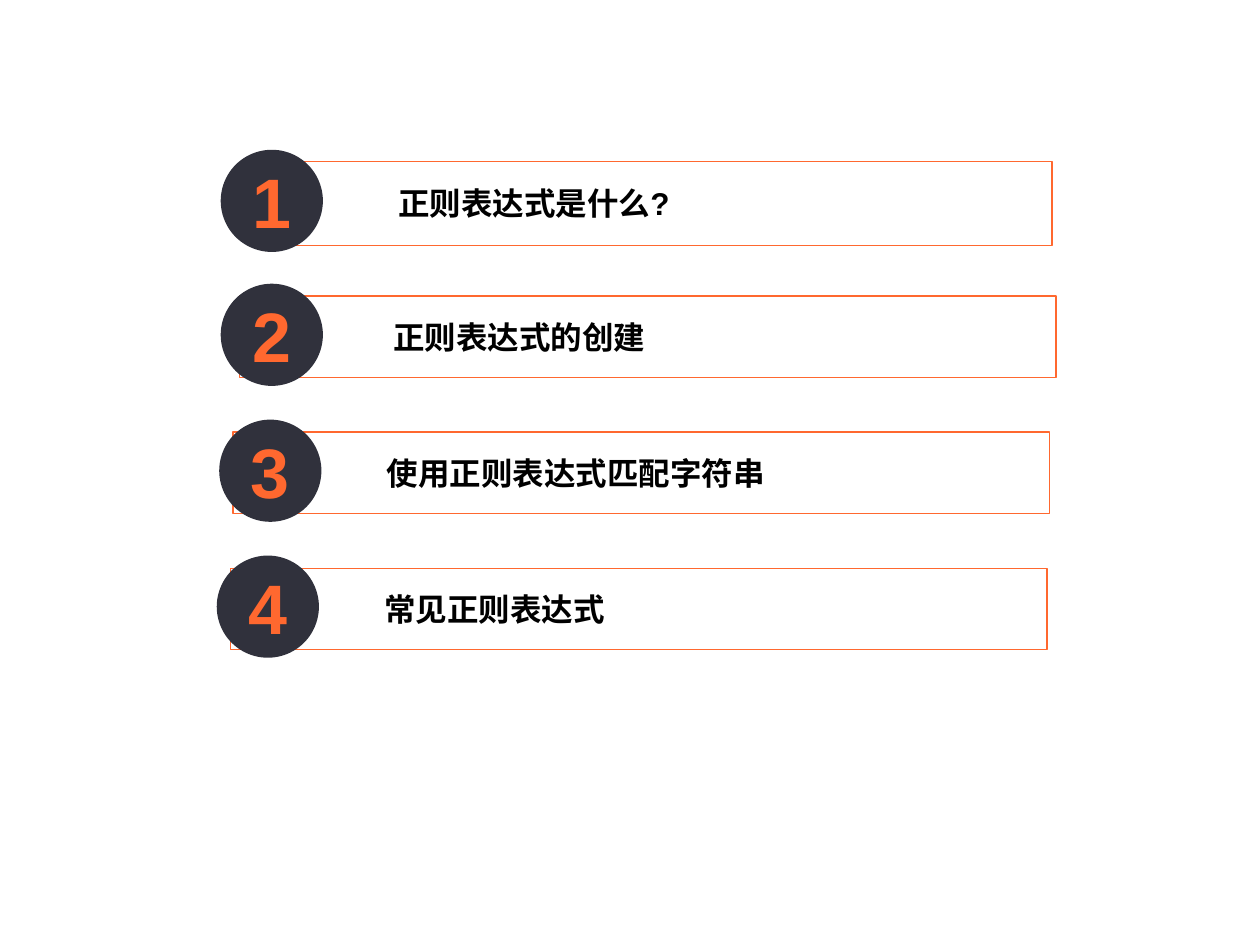
from dataclasses import dataclass

from lxml import etree
from pptx import Presentation
from pptx import util as u
from pptx.dml.color import RGBColor
from pptx.enum import shapes, text
from pptx.oxml import ns

ORANGE, DARK, WHITE, BLACK = "FF682F", "30313C", "FFFFFF", "000000"
BADGE_SIZE = 2.06


@dataclass
class AgendaItem:
    """One agenda row; lengths in centimetres."""
    title: str
    bar_left: float
    bar_top: float
    badge_left: float
    badge_top: float
    bar_width: float = 16.46
    bar_height: float = 1.64
    indent: float = 1.45


ITEMS = [
    AgendaItem("正则表达式是什么?", 5.11, 3.25, 4.45, 3.02, 16.1, 1.7, 1.27),
    AgendaItem("正则表达式的创建", 4.83, 5.97, 4.45, 5.72),
    AgendaItem("使用正则表达式匹配字符串", 4.7, 8.71, 4.42, 8.46),
    AgendaItem("常见正则表达式", 4.65, 11.46, 4.37, 11.2),
]


def color(value: str) -> RGBColor:
    return RGBColor.from_string(value)


def add_filled_shape(slide, kind, left: float, top: float, width: float,
                     height: float, fill: str):
    shape = slide.shapes.add_shape(
        kind, u.Cm(left), u.Cm(top), u.Cm(width), u.Cm(height))
    shape.shadow.inherit = False
    shape.fill.solid()
    shape.fill.fore_color.rgb = color(fill)
    shape.line.fill.background()
    return shape


def write_text(shape, content: str, *, size: int, font_color: str,
               align, margins: tuple, level: int = 0):
    frame = shape.text_frame
    frame.word_wrap = True
    frame.vertical_anchor = text.MSO_ANCHOR.MIDDLE
    (frame.margin_left, frame.margin_top,
     frame.margin_right, frame.margin_bottom) = map(u.Cm, margins)
    paragraph = frame.paragraphs[0]
    paragraph.alignment = align
    paragraph.level = level
    run = paragraph.add_run()
    run.text = content
    run.font.name = "Arial"
    run.font.size = u.Pt(size)
    run.font.bold = True
    run.font.color.rgb = color(font_color)
    return paragraph


def add_bar(slide, item: AgendaItem) -> None:
    bar = add_filled_shape(slide, shapes.MSO_SHAPE.RECTANGLE, item.bar_left,
                           item.bar_top, item.bar_width, item.bar_height, WHITE)
    bar.line.color.rgb = color(ORANGE)
    bar.line.width = u.Pt(0.75)
    # Fill at 40 % opacity
    fill_color = bar.fill._xPr.find(ns.qn("a:solidFill"))[0]
    etree.SubElement(fill_color, ns.qn("a:alpha"), val="40000")
    paragraph = write_text(bar, item.title, size=18, font_color=BLACK,
                           align=text.PP_ALIGN.LEFT,
                           margins=(1.65, 0.2, 0.2, 0.2), level=1)
    properties = paragraph._p.get_or_add_pPr()
    properties.set("marL", str(u.Cm(item.indent)))
    properties.set("indent", "0")


def add_badge(slide, number: int, item: AgendaItem) -> None:
    badge = add_filled_shape(slide, shapes.MSO_SHAPE.OVAL, item.badge_left,
                             item.badge_top, BADGE_SIZE, BADGE_SIZE, DARK)
    write_text(badge, str(number), size=40, font_color=ORANGE,
               align=text.PP_ALIGN.CENTER, margins=(0.25, 0.13, 0.25, 0.13))


def main() -> None:
    presentation = Presentation()
    presentation.slide_width, presentation.slide_height = u.Cm(25.4), u.Cm(19.05)
    # Blank layout: the slide has no title
    slide = presentation.slides.add_slide(presentation.slide_layouts[6])

    # Agenda rows: bar first, numbered badge on top
    for number, item in enumerate(ITEMS, start=1):
        add_bar(slide, item)
        add_badge(slide, number, item)

    presentation.save("out.pptx")


if __name__ == "__main__":
    main()
